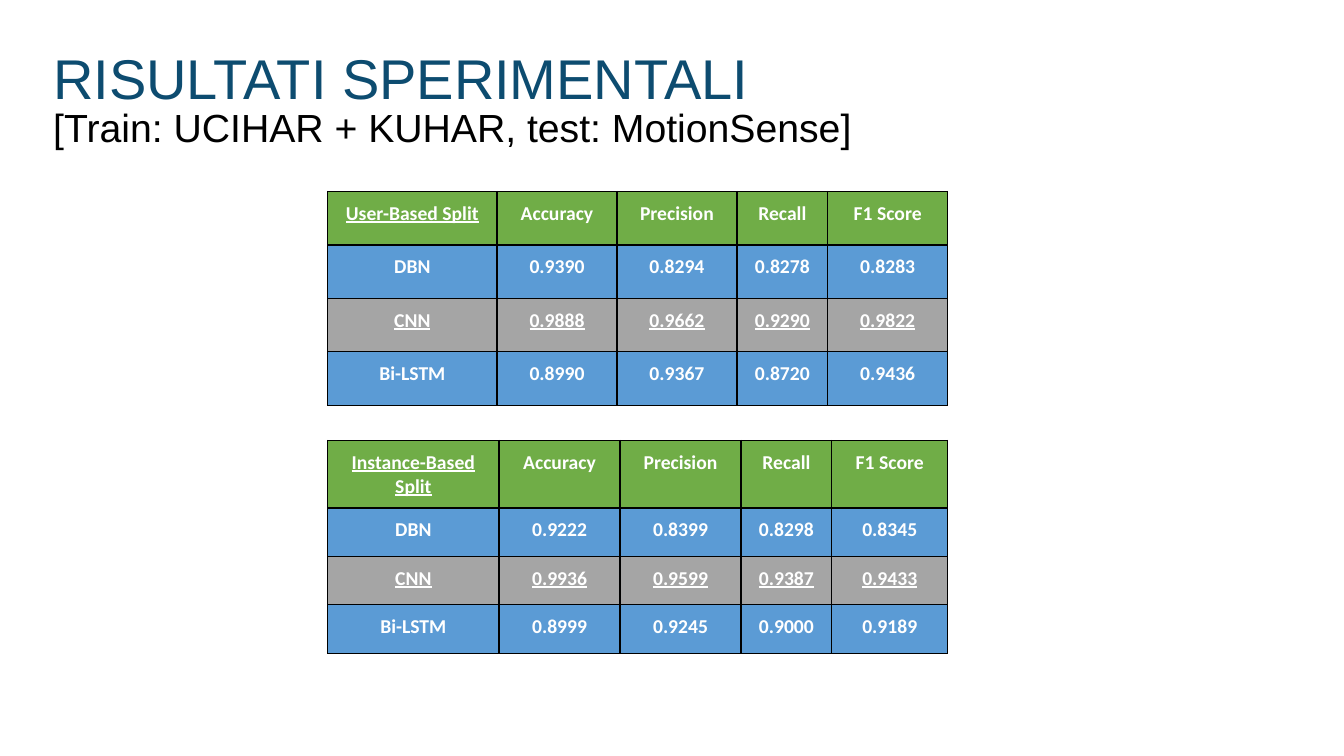
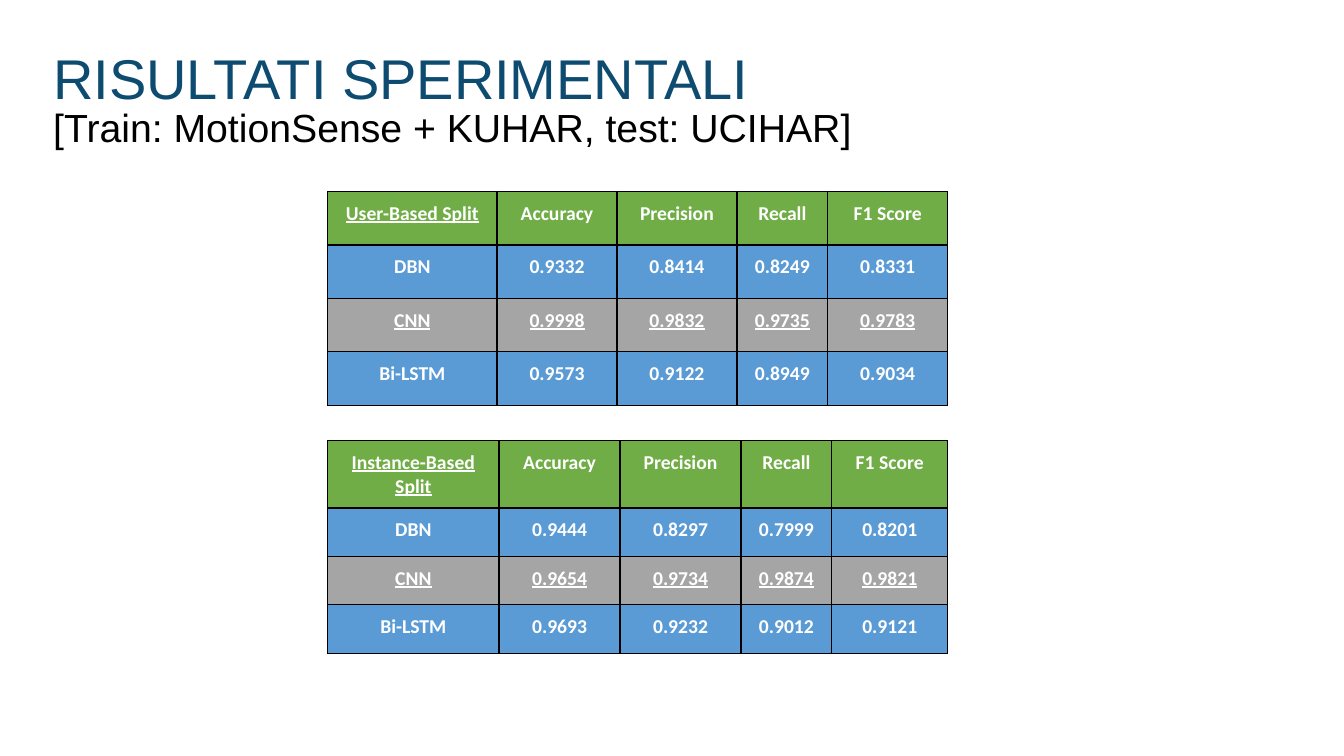
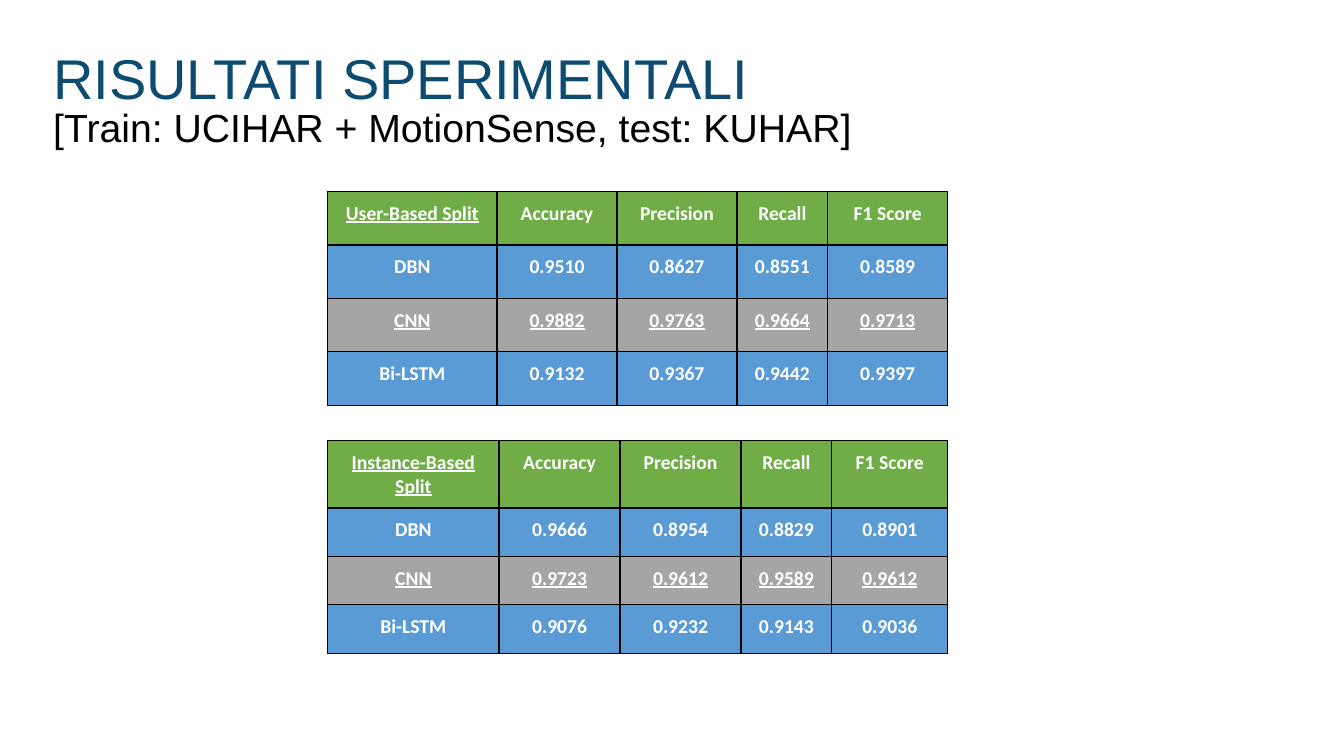
from dataclasses import dataclass

from lxml.etree import SubElement
from pptx import Presentation
from pptx.dml.color import RGBColor
from pptx.enum.text import MSO_ANCHOR, PP_ALIGN
from pptx.oxml.ns import qn
from pptx.util import Inches, Pt


@dataclass(frozen=True)
class Theme:
    heading_font: str = "Arial"
    table_font: str = "Calibri"
    title_color: str = "0D4C70"
    subtitle_color: str = "000000"
    header_fill: str = "70AD47"
    model_fill: str = "5B9BD5"
    best_fill: str = "A5A5A5"
    cell_text: str = "FFFFFF"
    border: str = "000000"
    title_size: int = 40
    subtitle_size: int = 28
    cell_size: int = 14
    border_width: float = 1
    cell_inset: float = 0.1


THEME = Theme()
TITLE = "RISULTATI SPERIMENTALI"
METRICS = ["Accuracy", "Precision", "Recall", "F1 Score"]
MODELS = ["DBN", "CNN", "Bi-LSTM"]
BEST_MODEL = "CNN"

# Boxes: left, top, width, height in inches
TITLE_BOX = (0.43, 0.46, 11.87, 0.61)
SUBTITLE_BOX = (0.43, 1.03, 11.87, 0.61)

# Each split: name, table position, column widths, row heights
SPLITS = [
    ("User-Based Split", (3.25, 1.9), [1.68, 1.19, 1.19, 0.9, 1.19], [0.53] * 4),
    ("Instance-Based Split", (3.25, 4.37), [1.7, 1.2, 1.2, 0.9, 1.15],
     [0.67] + [0.48] * 3),
]

# Each experiment: training and test sets, then scores per split and model
EXPERIMENTS = [
    ("[Train: UCIHAR + KUHAR, test: MotionSense]", [
        ["0.9390 0.8294 0.8278 0.8283",
         "0.9888 0.9662 0.9290 0.9822",
         "0.8990 0.9367 0.8720 0.9436"],
        ["0.9222 0.8399 0.8298 0.8345",
         "0.9936 0.9599 0.9387 0.9433",
         "0.8999 0.9245 0.9000 0.9189"],
    ]),
    ("[Train: MotionSense + KUHAR, test: UCIHAR]", [
        ["0.9332 0.8414 0.8249 0.8331",
         "0.9998 0.9832 0.9735 0.9783",
         "0.9573 0.9122 0.8949 0.9034"],
        ["0.9444 0.8297 0.7999 0.8201",
         "0.9654 0.9734 0.9874 0.9821",
         "0.9693 0.9232 0.9012 0.9121"],
    ]),
    ("[Train: UCIHAR + MotionSense, test: KUHAR]", [
        ["0.9510 0.8627 0.8551 0.8589",
         "0.9882 0.9763 0.9664 0.9713",
         "0.9132 0.9367 0.9442 0.9397"],
        ["0.9666 0.8954 0.8829 0.8901",
         "0.9723 0.9612 0.9589 0.9612",
         "0.9076 0.9232 0.9143 0.9036"],
    ]),
]


def style_font(font, name, size, color):
    font.name = name
    font.size = Pt(size)
    font.color.rgb = RGBColor.from_string(color)


def add_heading(slide, box, text, size, color):
    heading = slide.shapes.add_textbox(*map(Inches, box)).text_frame
    heading.word_wrap = True
    heading.vertical_anchor = MSO_ANCHOR.TOP
    heading.text = text
    line = heading.paragraphs[0]
    line.line_spacing = 0.9
    style_font(line.runs[0].font, THEME.heading_font, size, color)


def add_borders(cell):
    properties = cell._tc.get_or_add_tcPr()
    for position, side in enumerate(("a:lnL", "a:lnR", "a:lnT", "a:lnB")):
        edge = SubElement(properties, qn(side), w=str(Pt(THEME.border_width)))
        fill = SubElement(edge, qn("a:solidFill"))
        SubElement(fill, qn("a:srgbClr"), val=THEME.border)
        properties.insert(position, edge)  # borders come before the fill


def fill_cell(cell, text, fill, underline):
    cell.fill.solid()
    cell.fill.fore_color.rgb = RGBColor.from_string(fill)
    cell.margin_left = cell.margin_right = Inches(THEME.cell_inset)
    cell.margin_top = cell.margin_bottom = Inches(THEME.cell_inset)
    cell.vertical_anchor = MSO_ANCHOR.TOP
    cell.text_frame.text = text
    entry = cell.text_frame.paragraphs[0]
    entry.alignment = PP_ALIGN.CENTER
    font = entry.runs[0].font
    style_font(font, THEME.table_font, THEME.cell_size, THEME.cell_text)
    font.bold = True
    font.underline = underline
    add_borders(cell)


def add_score_table(slide, split, scores):
    name, position, widths, heights = split
    box = (*position, sum(widths), sum(heights))
    table = slide.shapes.add_table(
        len(heights), len(widths), *map(Inches, box)).table
    for column, width in zip(table.columns, widths):
        column.width = Inches(width)
    for row, height in zip(table.rows, heights):
        row.height = Inches(height)

    # Header row: only the split name is underlined
    for index, label in enumerate([name, *METRICS]):
        fill_cell(table.cell(0, index), label, THEME.header_fill, index == 0)

    # Model rows: the best model is grey and underlined
    for row_index, (model, values) in enumerate(zip(MODELS, scores), start=1):
        best = model == BEST_MODEL
        fill = THEME.best_fill if best else THEME.model_fill
        for index, value in enumerate([model, *values.split()]):
            fill_cell(table.cell(row_index, index), value, fill, best)


def add_results_slide(deck, subtitle, split_scores):
    slide = deck.slides.add_slide(deck.slide_layouts[6])
    add_heading(slide, TITLE_BOX, TITLE, THEME.title_size, THEME.title_color)
    add_heading(slide, SUBTITLE_BOX, subtitle,
                THEME.subtitle_size, THEME.subtitle_color)
    for split, scores in zip(SPLITS, split_scores):
        add_score_table(slide, split, scores)


def main():
    deck = Presentation()
    deck.slide_width = Inches(13.33)
    deck.slide_height = Inches(7.5)
    for subtitle, split_scores in EXPERIMENTS:
        add_results_slide(deck, subtitle, split_scores)
    deck.save("out.pptx")


if __name__ == "__main__":
    main()
